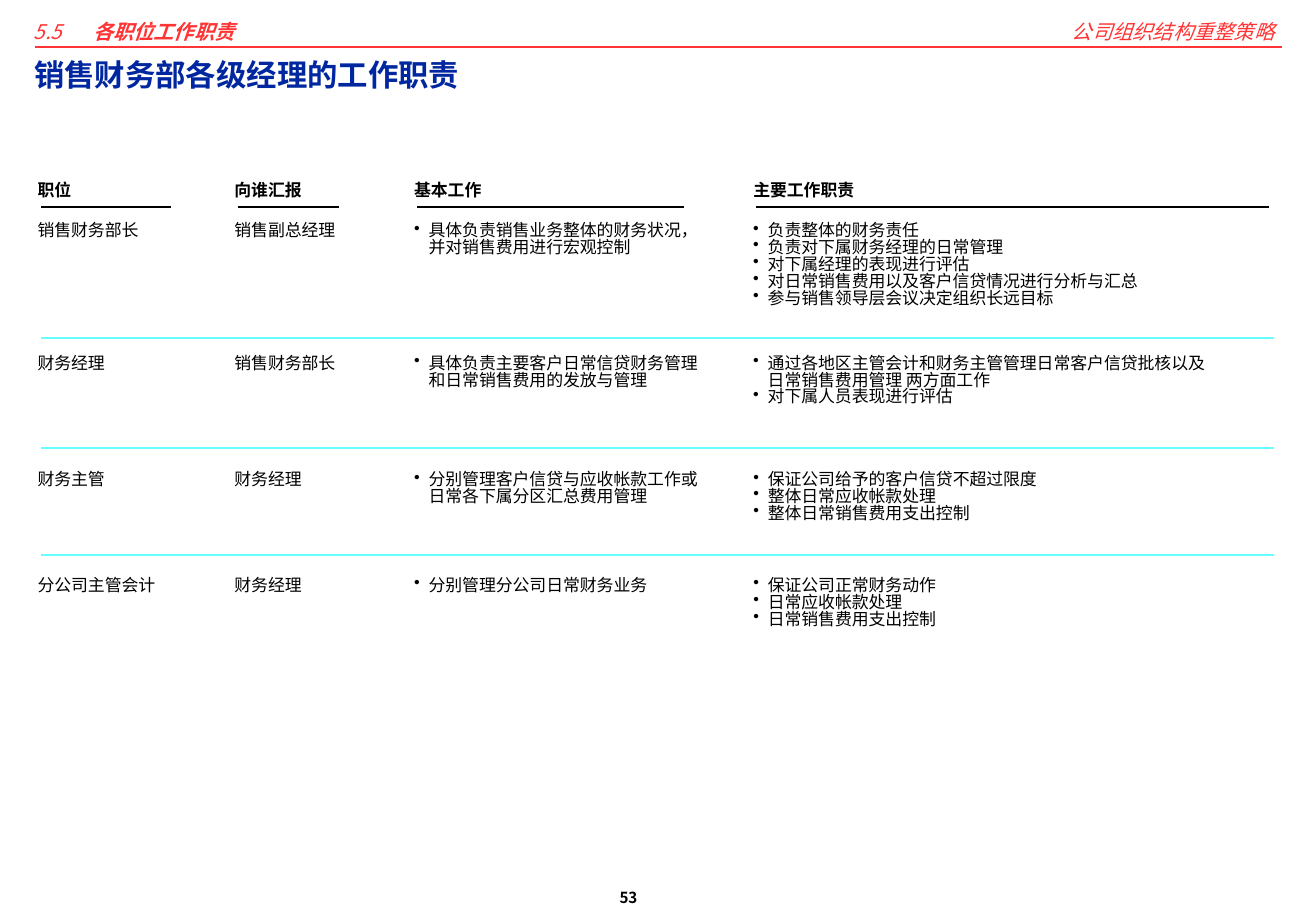
"""Build the slide on the duties of each finance manager in the sales department."""
from lxml.etree import SubElement
from pptx import Presentation
from pptx.dml.color import RGBColor
from pptx.enum.shapes import MSO_CONNECTOR as Connector
from pptx.enum.text import MSO_ANCHOR as Anchor, MSO_AUTO_SIZE as AutoSize, PP_ALIGN as Align
from pptx.oxml.ns import qn
from pptx.util import Pt

FONT = "Noto Sans CJK SC"
RED, BLUE, BLACK, CYAN = "FF3434", "00279F", "000000", "66FFFF"


def write(box, lines, size, color=BLACK, bold=False, italic=False, bullet=False,
          spacing=0.83, inset=(6.5, 3.6), wrap=True, align=Align.LEFT):
    frame = box.text_frame
    frame.text = "\n".join(lines)
    frame.word_wrap = wrap
    frame.auto_size = AutoSize.NONE
    frame.vertical_anchor = Anchor.TOP
    frame.margin_left = frame.margin_right = Pt(inset[0])
    frame.margin_top = frame.margin_bottom = Pt(inset[1])
    for para in frame.paragraphs:
        para.alignment = align
        para.line_spacing = spacing
        if bullet:
            props = para._p.get_or_add_pPr()
            props.set("marL", str(Pt(8.6)))
            props.set("indent", str(-Pt(8.6)))
            SubElement(props, qn("a:buChar"), char="•")
        for span in para.runs:
            span.font.size = Pt(size)
            span.font.bold = bold
            span.font.italic = italic
            span.font.color.rgb = RGBColor.from_string(color)
            span.font.name = FONT
            SubElement(span.font._element, qn("a:ea"), typeface=FONT)


def rule(left, right, top, color):
    line = page.shapes.add_connector(Connector.STRAIGHT, Pt(left), Pt(top), Pt(right), Pt(top))
    line.line.color.rgb = RGBColor.from_string(color)
    line.line.width = Pt(1)
    SubElement(line._element.spPr, qn("a:effectLst"))


deck = Presentation()
deck.slide_width, deck.slide_height = Pt(780), Pt(540)
page = deck.slides.add_slide(deck.slide_layouts[5])

rule(21, 759.6, 28, RED)
number = page.shapes.add_textbox(Pt(367.2), Pt(528.5), Pt(46.8), Pt(11))
write(number, ["53"], 9, bold=True, inset=(0, 0))

title = page.shapes.title
title.left, title.top, title.width, title.height = Pt(13), Pt(28.8), Pt(711.4), Pt(62.6)
write(title, ["销售财务部各级经理的工作职责"], 18, BLUE, bold=True, spacing=0.9, inset=(7.2, 7.2))

strategy = page.shapes.add_textbox(Pt(543.6), Pt(5.8), Pt(218.9), Pt(28.8))
write(strategy, ["公司组织结构重整策略"], 12, RED, italic=True, spacing=0.9,
      inset=(7.2, 7.2), align=Align.RIGHT)

section = page.shapes.add_textbox(Pt(13), Pt(5.8), Pt(247), Pt(28.8))
section.text_frame.text = "5.5"
write(section, ["5.5\t 各职位工作职责"], 12, RED, bold=True, italic=True, spacing=0.9,
      inset=(7.2, 7.2))
heading = section.text_frame.paragraphs[0]
tabs = SubElement(heading._p.get_or_add_pPr(), qn("a:tabLst"))
SubElement(tabs, qn("a:tab"), pos=str(Pt(32.4)), algn="l")
name = heading.runs[0]
name.text = "5.5\t "
name.font.bold = False
label = heading.add_run()
label.text = "各职位工作职责"
label.font.size, label.font.name = Pt(12), FONT
label.font.bold = label.font.italic = True
label.font.color.rgb = RGBColor.from_string(RED)
SubElement(label.font._element, qn("a:ea"), typeface=FONT)

columns = [("职位", 15.8, 33.1, 101.5), ("向谁汇报", 132.5, 52.6, 200.9),
           ("基本工作", 239, 52.6, 405.4), ("主要工作职责", 440, 72.7, 752.4)]
for caption, left, width, rule_end in columns:
    box = page.shapes.add_textbox(Pt(left), Pt(105.1), Pt(width), Pt(18.7))
    write(box, [caption], 10, bold=True, wrap=False)
    rule(left + 8.4, rule_end, 122.6, BLACK)

positions = [
    (128.9, 331.2, "销售财务部长", "销售副总经理",
     "具体负责销售业务整体的财务状况，并对销售费用进行宏观控制",
     ["负责整体的财务责任", "负责对下属财务经理的日常管理", "对下属经理的表现进行评估",
      "对日常销售费用以及客户信贷情况进行分析与汇总", "参与销售领导层会议决定组织长远目标"]),
    (207.4, 285.8, "财务经理", "销售财务部长",
     "具体负责主要客户日常信贷财务管理和日常销售费用的发放与管理",
     ["通过各地区主管会计和财务主管管理日常客户信贷批核以及日常销售费用管理 两方面工作",
      "对下属人员表现进行评估"]),
    (276.5, 306, "财务主管", "财务经理",
     "分别管理客户信贷与应收帐款工作或日常各下属分区汇总费用管理",
     ["保证公司给予的客户信贷不超过限度", "整体日常应收帐款处理", "整体日常销售费用支出控制"]),
    (339.1, 306, "分公司主管会计", "财务经理", "分别管理分公司日常财务业务",
     ["保证公司正常财务动作", "日常应收帐款处理", "日常销售费用支出控制"]),
]
for top, duty_width, position, superior, work, duties in positions:
    work_lines = 2 if len(work) > 16 else 1
    cells = [([position], 90.7, 1, False), ([superior], 100, 1, False),
             ([work], 182.2, work_lines, True), (duties, duty_width, max(3, len(duties)), True)]
    for (caption, left, *_), (lines, width, count, bullet) in zip(columns, cells):
        box = page.shapes.add_textbox(Pt(left), Pt(top), Pt(width), Pt(7.2 + 12 * count))
        write(box, lines, 10, bullet=bullet)

for top in (200.2, 265.7, 329):
    rule(24.2, 755.3, top, CYAN)

deck.save("out.pptx")
